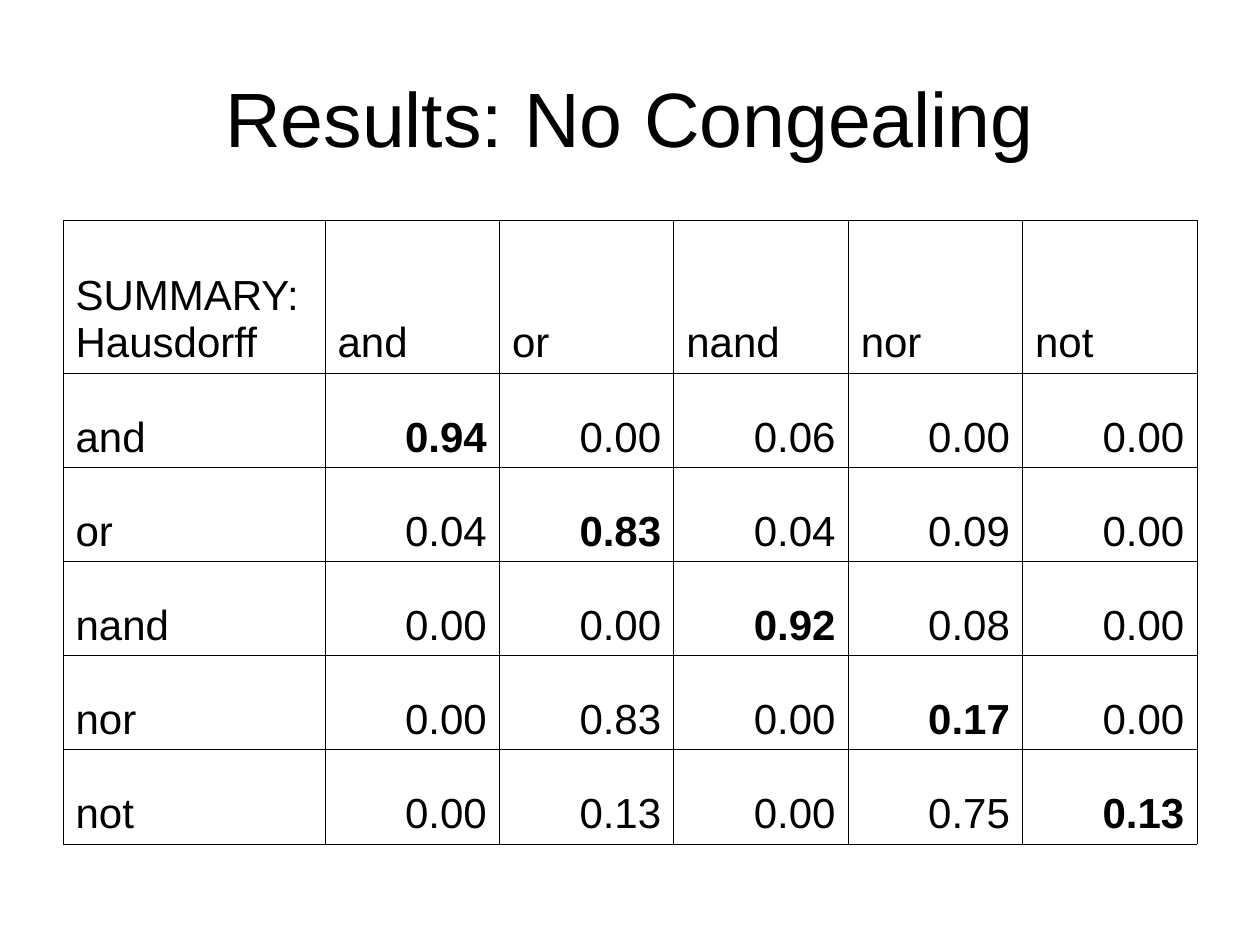
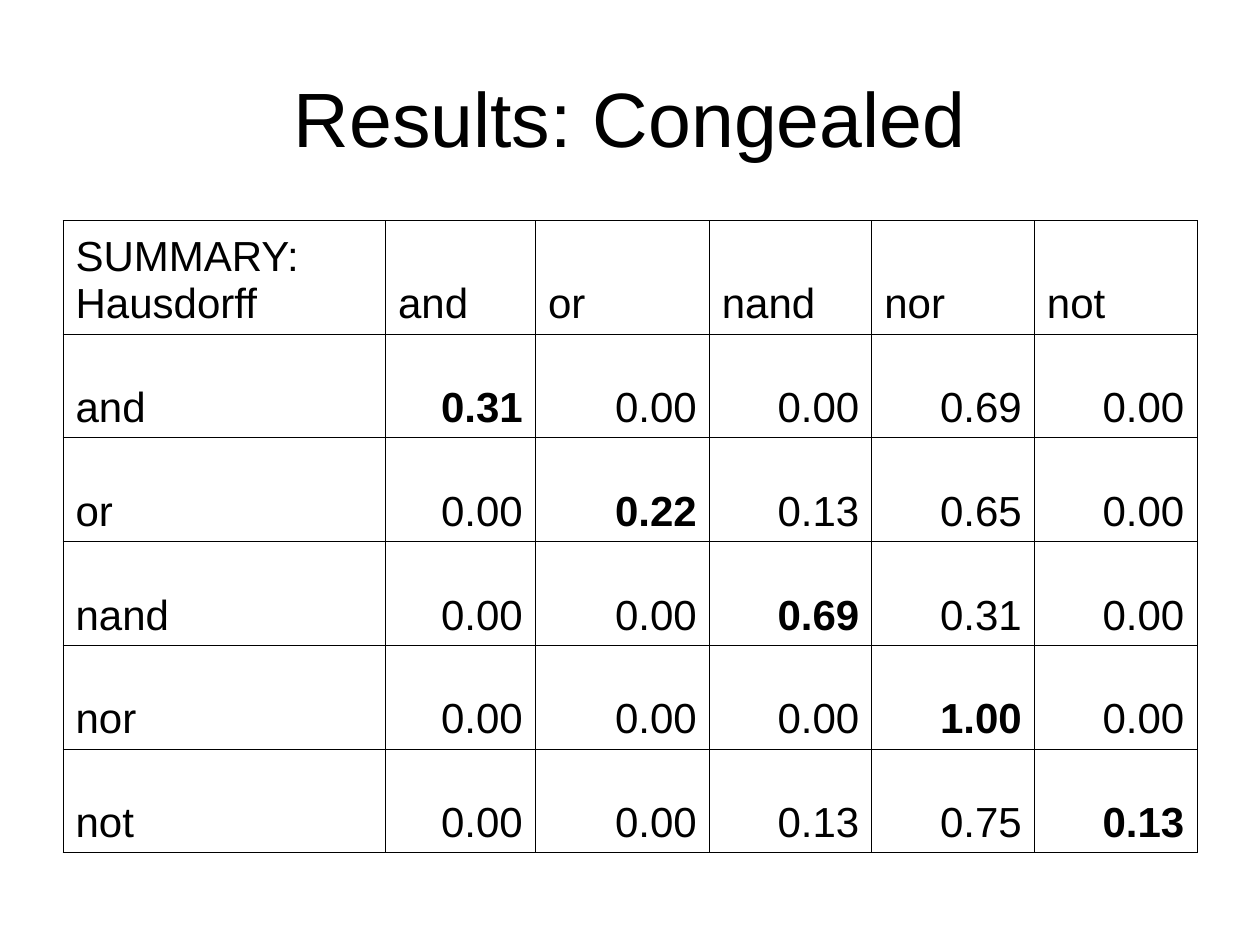
from lxml import etree
from pptx import Presentation
from pptx import util as u
from pptx.dml.color import RGBColor
from pptx.enum import text
from pptx.oxml import ns

BLACK = RGBColor(0x00, 0x00, 0x00)
WHITE = RGBColor(0xFF, 0xFF, 0xFF)
FONT = "Arial"
BORDER_WIDTH = u.Pt(0.45)
TITLE_BOX = (0.5, 0.3, 9, 1.25)
GATES = ["and", "or", "nand", "nor", "not"]
CORNER = "SUMMARY: Hausdorff"

RESULTS = [
    {
        "title": "Results: No Congealing",
        "box": (0.5, 1.75, 9, 4.95),
        "header_height": 1.21,
        "label_width": 2.08,
        "rate_widths": [1.384] * 5,
        "rates": [
            [0.94, 0.00, 0.06, 0.00, 0.00],
            [0.04, 0.83, 0.04, 0.09, 0.00],
            [0.00, 0.00, 0.92, 0.08, 0.00],
            [0.00, 0.83, 0.00, 0.17, 0.00],
            [0.00, 0.13, 0.00, 0.75, 0.13],
        ],
    },
    {
        "title": "Results: Congealed",
        "box": (0.5, 1.75, 9, 5.02),
        "header_height": 0.9,
        "label_width": 2.56,
        "rate_widths": [1.19, 1.38, 1.29, 1.29, 1.29],
        "rates": [
            [0.31, 0.00, 0.00, 0.69, 0.00],
            [0.00, 0.22, 0.13, 0.65, 0.00],
            [0.00, 0.00, 0.69, 0.31, 0.00],
            [0.00, 0.00, 0.00, 1.00, 0.00],
            [0.00, 0.00, 0.13, 0.75, 0.13],
        ],
    },
]


def write(frame, words, size, align, bold=False):
    """Put one formatted paragraph into a text frame."""
    paragraph = frame.paragraphs[0]
    paragraph.alignment = align
    run = paragraph.add_run()
    run.text = words
    for key, value in {"name": FONT, "size": u.Pt(size), "bold": bold}.items():
        setattr(run.font, key, value)
    run.font.color.rgb = BLACK


def add_title(slide, box, words):
    """Centre the slide title in its box."""
    frame = slide.shapes.add_textbox(*map(u.Inches, box)).text_frame
    frame.word_wrap = True
    frame.vertical_anchor = text.MSO_ANCHOR.MIDDLE
    write(frame, words, 44, text.PP_ALIGN.CENTER)


def add_borders(cell):
    """Draw a thin black line on all four sides of a cell."""
    properties = cell._tc.get_or_add_tcPr()
    for side in ("lnL", "lnR", "lnT", "lnB"):
        line = etree.SubElement(properties, ns.qn(f"a:{side}"), w=str(BORDER_WIDTH))
        fill = etree.SubElement(line, ns.qn("a:solidFill"))
        etree.SubElement(fill, ns.qn("a:srgbClr"), val=str(BLACK))


def add_confusion_table(slide, box, result):
    """Tabulate the recognition rates, with the diagonal in bold."""
    size = len(GATES) + 1
    table = slide.shapes.add_table(size, size, *map(u.Inches, box)).table
    table.first_row = table.horz_banding = False

    header_height = result["header_height"]
    rate_height = (box[3] - header_height) / len(GATES)
    for row, height in zip(table.rows, [header_height] + [rate_height] * len(GATES)):
        row.height = u.Inches(height)
    for column, width in zip(table.columns, [result["label_width"]] + result["rate_widths"]):
        column.width = u.Inches(width)

    lines = [[CORNER] + GATES]
    for gate, rates in zip(GATES, result["rates"]):
        lines.append([gate] + [f"{rate:.2f}" for rate in rates])
    for r, line in enumerate(lines):
        for c, words in enumerate(line):
            cell = table.cell(r, c)
            add_borders(cell)
            cell.fill.background()
            cell.vertical_anchor = text.MSO_ANCHOR.BOTTOM
            is_rate = r > 0 and c > 0
            align = text.PP_ALIGN.RIGHT if is_rate else text.PP_ALIGN.LEFT
            write(cell.text_frame, words, 24, align, bold=is_rate and r == c)


def add_result_slide(deck, result):
    """Add one slide with a title above its table of rates."""
    slide = deck.slides.add_slide(deck.slide_layouts[6])
    slide.background.fill.solid()
    slide.background.fill.fore_color.rgb = WHITE
    add_title(slide, TITLE_BOX, result["title"])
    add_confusion_table(slide, result["box"], result)


def main():
    """Build and save the deck."""
    deck = Presentation()
    deck.slide_width, deck.slide_height = u.Inches(10), u.Inches(7.5)
    for result in RESULTS:
        add_result_slide(deck, result)
    deck.save("out.pptx")


if __name__ == "__main__":
    main()
